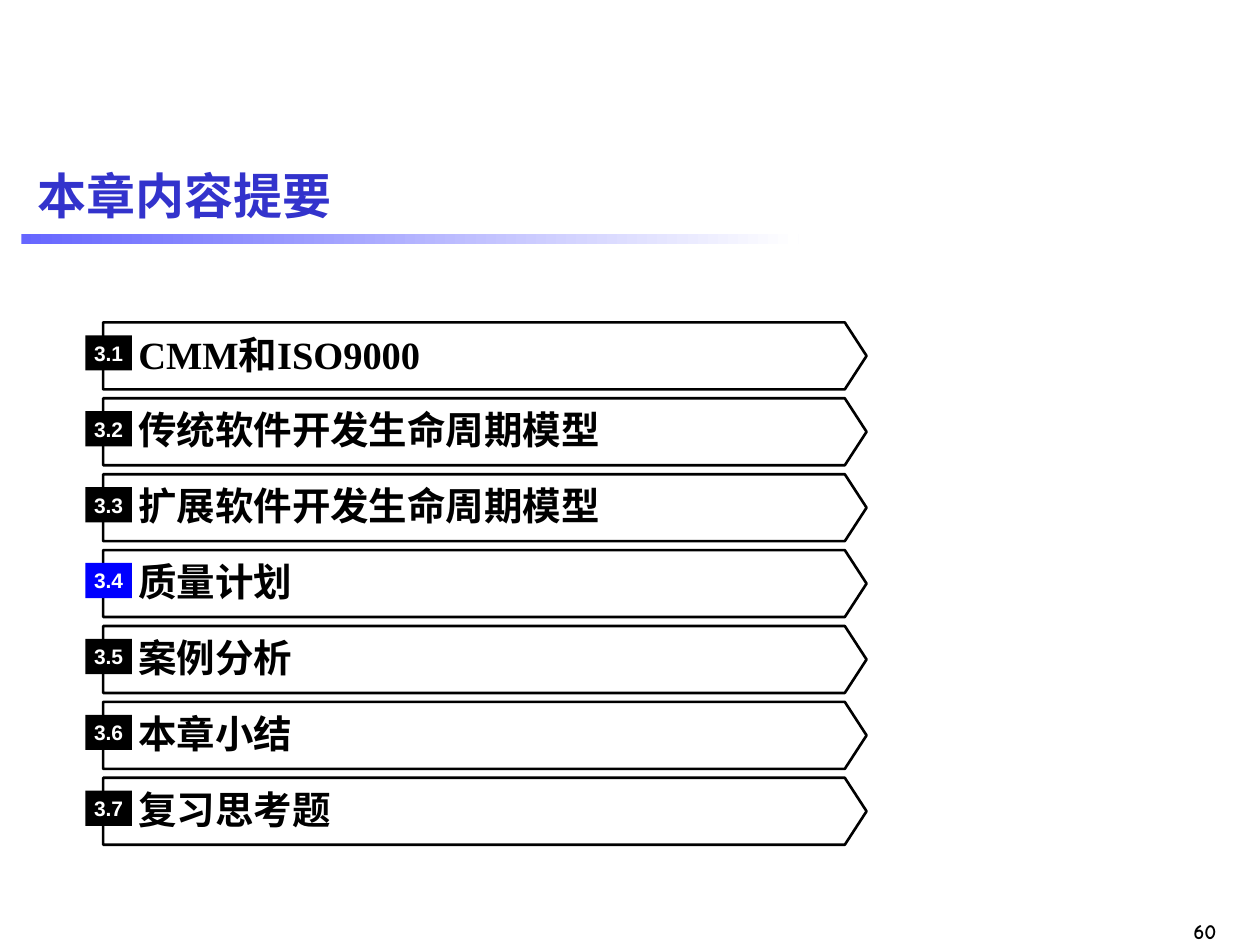
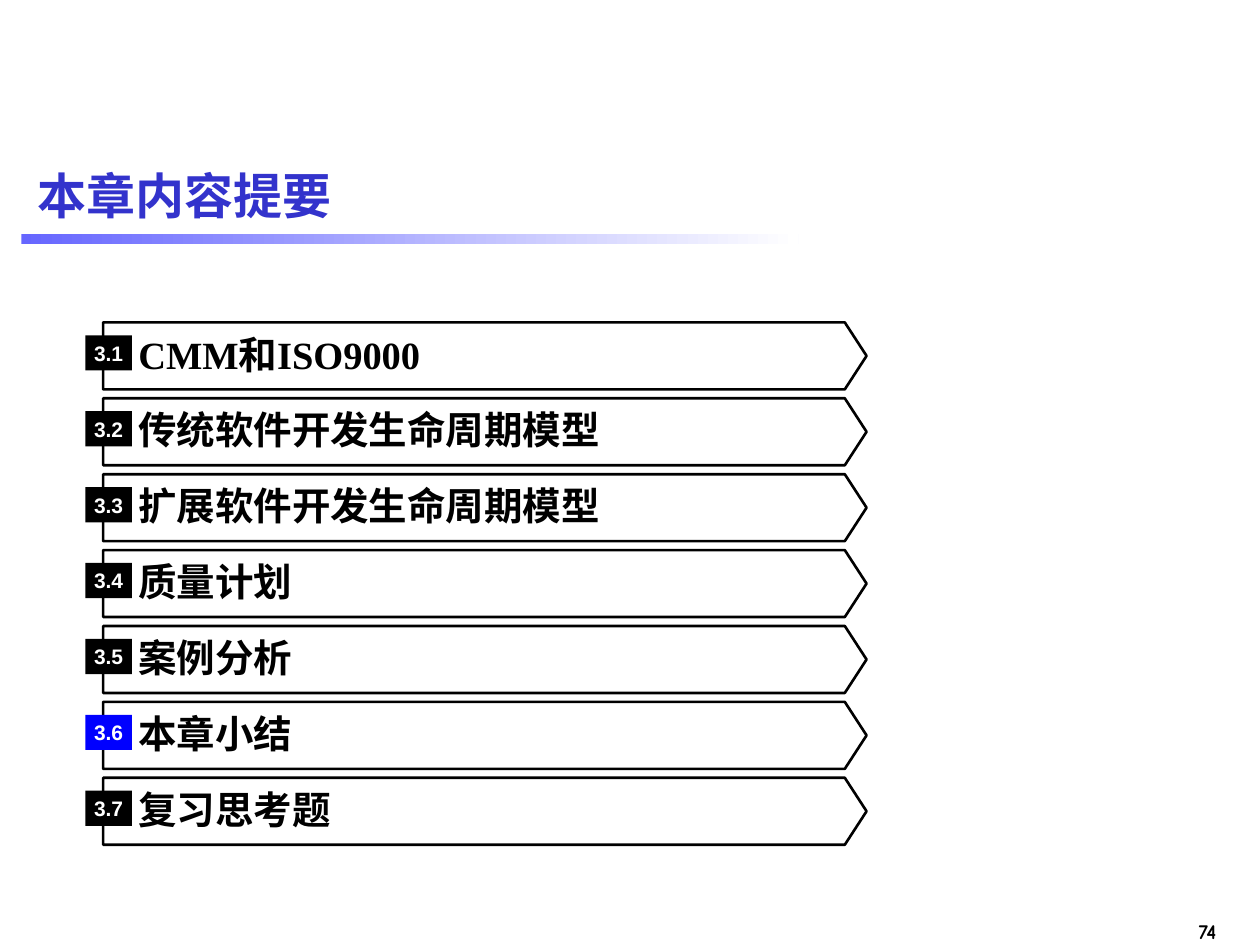
from pptx import Presentation
from pptx.dml.color import RGBColor
from pptx.enum.lang import MSO_LANGUAGE_ID as LANG
from pptx.enum.shapes import MSO_SHAPE as SHAPE
from pptx.enum.text import MSO_ANCHOR as ANCHOR, PP_ALIGN as ALIGN
from pptx.util import Cm, Pt

BLACK, WHITE, ACTIVE = "000000", "FFFFFF", "0000FF"
TITLE_COLOR, BAR_COLOR = "3333CC", "6666FF"

TITLE = "本章内容提要"
SECTIONS = [
    "CMM和ISO9000",
    "传统软件开发生命周期模型",
    "扩展软件开发生命周期模型",
    "质量计划",
    "案例分析",
    "本章小结",
    "复习思考题",
]
# page number and number of the highlighted section
PAGES = [(60, 4), (74, 6)]

ROW_LEFT, ROW_TOP, ROW_STEP = 2.08, 6.5, 1.53


def rgb(color):
    return RGBColor.from_string(color)


def box(left, top, width, height):
    return [Cm(v) for v in (left, top, width, height)]


def put_text(sp, text, size, font="Arial", color=BLACK, align=ALIGN.LEFT,
             anchor=ANCHOR.MIDDLE, inset=None):
    """Write one bold paragraph; inset (cm) replaces all four margins."""
    tf = sp.text_frame
    tf.word_wrap = True
    tf.vertical_anchor = anchor
    if inset is not None:
        tf.margin_left = tf.margin_right = Cm(inset)
        tf.margin_top = tf.margin_bottom = Cm(inset)
    p = tf.paragraphs[0]
    p.alignment = align
    r = p.add_run()
    r.text = text
    r.font.name, r.font.size, r.font.bold = font, Pt(size), True
    r.font.color.rgb = rgb(color)
    r.font.language_id = LANG.SIMPLIFIED_CHINESE


def add_plain_shape(s, kind, place, fill=None, line=None):
    sp = s.shapes.add_shape(kind, *box(*place))
    sp.shadow.inherit = False
    if fill:
        sp.fill.solid()
        sp.fill.fore_color.rgb = rgb(fill)
    else:
        sp.fill.background()
    if line:
        sp.line.color.rgb = rgb(line)
        sp.line.width = Pt(1.5)
    else:
        sp.line.fill.background()
    return sp


def add_title_bar(s):
    bar = add_plain_shape(s, SHAPE.RECTANGLE, (0.43, 4.72, 15.67, 0.21))
    bar.fill.gradient()
    bar.fill.gradient_angle = 0
    for stop, color in zip(bar.fill.gradient_stops, (BAR_COLOR, WHITE)):
        stop.color.rgb = rgb(color)


def add_frame(s, page):
    """Title, gradient bar and page number."""
    add_title_bar(s)
    title = s.shapes.title
    title.left, title.top, title.width, title.height = box(0.51, 2.92, 24.41, 2.01)
    put_text(title, TITLE, 28, color=TITLE_COLOR)
    number = s.shapes.add_textbox(*box(23.37, 18.39, 1.4, 0.76))
    put_text(number, str(page), 12, font="Comic Neue", align=ALIGN.RIGHT,
             anchor=ANCHOR.TOP)


def add_section(s, number, name, active):
    top = ROW_TOP + (number - 1) * ROW_STEP
    arrow = add_plain_shape(s, SHAPE.PENTAGON, (ROW_LEFT, top, 15.39, 1.35),
                            line=BLACK)
    arrow.adjustments[0] = 0.325
    label = s.shapes.add_textbox(*box(ROW_LEFT + 0.71, top + 0.12, 13.67, 1.02))
    put_text(label, name, 22, font="Times New Roman", inset=0)
    badge = add_plain_shape(s, SHAPE.RECTANGLE,
                            (ROW_LEFT - 0.36, top + 0.26, 0.94, 0.71),
                            fill=ACTIVE if active else BLACK)
    put_text(badge, f"3.{number}", 12, color=WHITE, align=ALIGN.CENTER, inset=0)


def main():
    prs = Presentation()
    prs.slide_width, prs.slide_height = Cm(25.4), Cm(19.05)
    for page, current in PAGES:
        s = prs.slides.add_slide(prs.slide_layouts[5])
        add_frame(s, page)
        for number, name in enumerate(SECTIONS, 1):
            add_section(s, number, name, number == current)
    prs.save("out.pptx")


if __name__ == "__main__":
    main()
